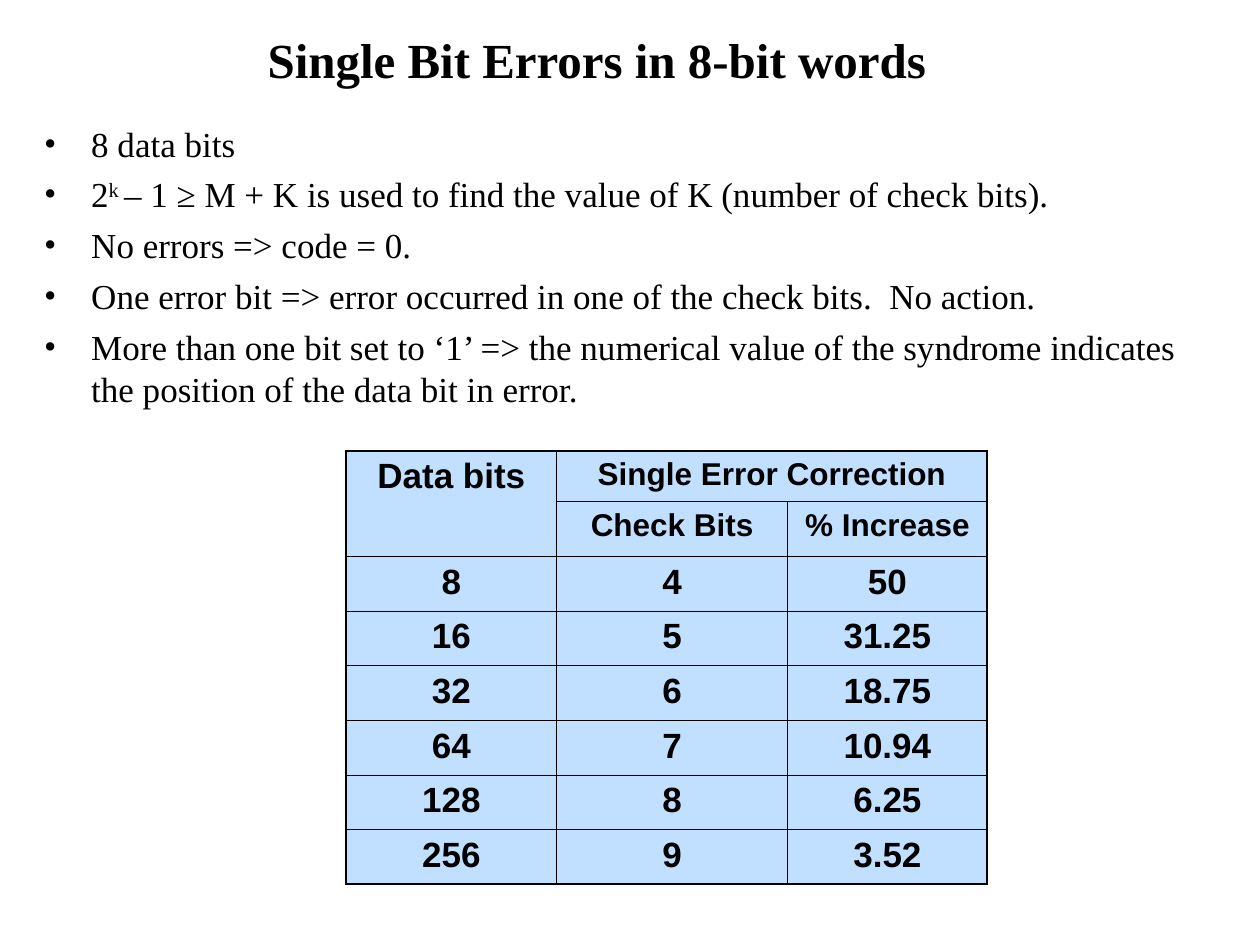
from dataclasses import dataclass

from lxml import etree
from pptx import Presentation
from pptx.dml.color import RGBColor
from pptx.enum.text import MSO_ANCHOR, PP_ALIGN
from pptx.oxml.ns import qn
from pptx.util import Cm, Pt

CENTER = PP_ALIGN.CENTER
BOTTOM = MSO_ANCHOR.BOTTOM
BLACK = "000000"
CELL_BLUE = "99CCFF"
SERIF = "Times New Roman"
SANS = "Arial"
THIN, THICK = 0.45, 1.08


@dataclass
class TextRun:
    """A piece of text with its own look."""
    text: str
    size: float = 20
    font: str = SERIF
    bold: bool = False
    superscript: bool = False


@dataclass
class Box:
    """A place on the slide in centimetres."""
    left: float
    top: float
    width: float
    height: float

    def lengths(self) -> tuple:
        """Return the four lengths."""
        return Cm(self.left), Cm(self.top), Cm(self.width), Cm(self.height)


BULLETS = [
    [TextRun("8 data bits")],
    [TextRun("2"), TextRun("k ", superscript=True),
     TextRun("– 1 ≥ M + K is used to find the value of K (number of check bits).")],
    [TextRun("No errors => code = 0.")],
    [TextRun("One error bit => error occurred in one of the check bits.  No action.")],
    [TextRun("More than one bit set to ‘1’ => the numerical value of the syndrome "
             "indicates the position of the data bit in error.")],
]
HEADER_ROWS = [["Data bits", "Single Error Correction", ""],
               ["", "Check Bits", "% Increase"]]
DATA_ROWS = [["8", "4", "50"], ["16", "5", "31.25"], ["32", "6", "18.75"],
             ["64", "7", "10.94"], ["128", "8", "6.25"], ["256", "9", "3.52"]]
COLUMN_WIDTHS = [4.24, 4.66, 4.02]
ROW_HEIGHTS = [1.02] + [1.1] * 7


def color(value: str) -> RGBColor:
    """Turn a hex string into a colour."""
    return RGBColor.from_string(value)


def add_runs(paragraph, runs: list[TextRun]) -> None:
    """Add formatted runs to a paragraph."""
    for item in runs:
        run = paragraph.add_run()
        run.text = item.text
        run.font.size = Pt(item.size)
        run.font.name = item.font
        run.font.bold = item.bold
        run.font.color.rgb = color(BLACK)
        if item.superscript:
            run.font._element.set("baseline", "30000")


def add_text_frame(slide, box: Box):
    """Add a wrapping text box and return its text frame."""
    text_frame = slide.shapes.add_textbox(*box.lengths()).text_frame
    text_frame.word_wrap = True
    return text_frame


def add_title(slide, text: str) -> None:
    """Add the centred slide title."""
    text_frame = add_text_frame(slide, Box(0.64, 0.64, 22.78, 1.27))
    text_frame.vertical_anchor = BOTTOM
    paragraph = text_frame.paragraphs[0]
    paragraph.alignment = CENTER
    add_runs(paragraph, [TextRun(text, 28, bold=True)])


def set_bullet(paragraph) -> None:
    """Give a paragraph a black bullet and a hanging indent."""
    properties = paragraph._p.get_or_add_pPr()
    properties.set("marL", str(Cm(0.95)))
    properties.set("indent", str(-Cm(0.95)))
    bullet_color = etree.SubElement(properties, qn("a:buClr"))
    etree.SubElement(bullet_color, qn("a:srgbClr"), val=BLACK)
    etree.SubElement(properties, qn("a:buFont"), typeface=SERIF)
    etree.SubElement(properties, qn("a:buChar"), char="•")


def add_bullets(slide, bullets: list[list[TextRun]]) -> None:
    """Add the bulleted list."""
    text_frame = add_text_frame(slide, Box(0.64, 2.34, 23.93, 6.35))
    for index, runs in enumerate(bullets):
        paragraph = text_frame.add_paragraph() if index else text_frame.paragraphs[0]
        set_bullet(paragraph)
        if index:
            paragraph.space_before = Pt(5)
        add_runs(paragraph, runs)


def style_cell(cell, widths: dict[str, float]) -> None:
    """Fill a cell with translucent blue and draw its borders."""
    cell.fill.solid()
    cell.fill.fore_color.rgb = color(CELL_BLUE)
    properties = cell._tc.get_or_add_tcPr()
    fill_color = properties.find(qn("a:solidFill")).find(qn("a:srgbClr"))
    etree.SubElement(fill_color, qn("a:alpha"), val="60000")
    for position, (side, width) in enumerate(widths.items()):
        line = etree.Element(qn(f"a:ln{side}"), w=str(Pt(width)))
        line_fill = etree.SubElement(line, qn("a:solidFill"))
        etree.SubElement(line_fill, qn("a:srgbClr"), val=BLACK)
        properties.insert(position, line)


def add_error_table(slide) -> None:
    """Add the table of check bits per word size."""
    rows = HEADER_ROWS + DATA_ROWS
    last_row, last_column = len(rows) - 1, len(COLUMN_WIDTHS) - 1
    box = Box(6.98, 9.09, sum(COLUMN_WIDTHS), sum(ROW_HEIGHTS))
    table = slide.shapes.add_table(len(rows), len(COLUMN_WIDTHS), *box.lengths()).table
    table.first_row = table.horz_banding = False
    for column, width in zip(table.columns, COLUMN_WIDTHS):
        column.width = Cm(width)
    for row, height in zip(table.rows, ROW_HEIGHTS):
        row.height = Cm(height)
    table.cell(0, 0).merge(table.cell(1, 0))
    table.cell(0, 1).merge(table.cell(0, 2))
    for row_index, texts in enumerate(rows):
        for column_index, text in enumerate(texts):
            cell = table.cell(row_index, column_index)
            outer = {"L": column_index == 0, "R": column_index == last_column,
                     "T": row_index == 0, "B": row_index == last_row}
            if cell.is_merge_origin and cell.span_width > 1:
                outer["R"] = True
            style_cell(cell, {side: THICK if edge else THIN for side, edge in outer.items()})
            if text:
                small = row_index < len(HEADER_ROWS) and column_index > 0
                paragraph = cell.text_frame.paragraphs[0]
                paragraph.alignment = CENTER
                add_runs(paragraph, [TextRun(text, 18 if small else 20, SANS, True)])


def main() -> None:
    """Build and save the presentation."""
    presentation = Presentation()
    presentation.slide_width = Cm(25.4)
    presentation.slide_height = Cm(19.05)
    slide = presentation.slides.add_slide(presentation.slide_layouts[6])
    add_title(slide, "Single Bit Errors in 8-bit words")
    add_bullets(slide, BULLETS)
    add_error_table(slide)
    presentation.save("out.pptx")


if __name__ == "__main__":
    main()
